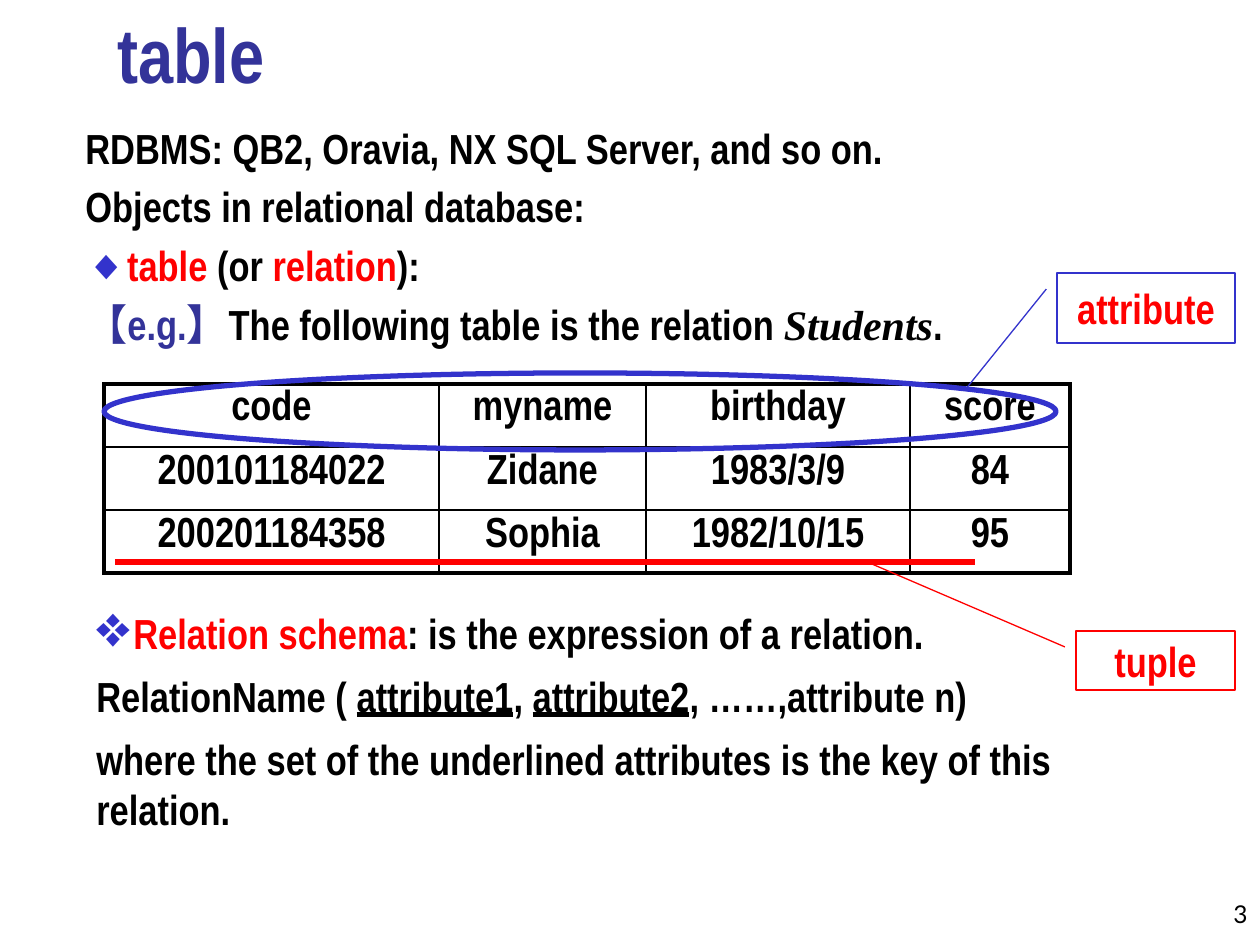
from lxml.etree import SubElement
from pptx import Presentation
from pptx.dml.color import RGBColor
from pptx.enum.shapes import MSO_CONNECTOR, MSO_SHAPE
from pptx.enum.text import MSO_ANCHOR, PP_ALIGN
from pptx.oxml.ns import qn
from pptx.util import Emu, Pt

THEME = {
    "black": "000000", "navy": "333399", "blue": "3333CC", "red": "FF0000",
    "font": "Arial Narrow", "serif": "Times New Roman", "number_font": "Lato",
    "title": 44, "body": 24, "number": 14, "thick": 3, "thin": 0.75,
    "outer_border": 2.25, "inner_border": 1,
}
SCALE = 914400 / 126


def px(*lengths):
    return [Emu(round(length * SCALE)) for length in lengths]


def write(frame, paragraphs, align=None, anchor=MSO_ANCHOR.TOP, size="body",
          font="font", bold=True, before=0):
    frame.word_wrap = True
    frame.vertical_anchor = anchor
    for index, runs in enumerate(paragraphs):
        para = frame.add_paragraph() if index else frame.paragraphs[0]
        para.alignment = align
        para.space_before = Pt(before)
        para.font.size = Pt(THEME[size])
        para.font.name = THEME[font]
        para.font.bold = bold
        for text, color, *style in runs:
            span = para.add_run()
            span.text = text
            span.font.color.rgb = RGBColor.from_string(THEME[color])
            if "underline" in style:
                span.font.underline = True
            if "italic" in style:
                span.font.italic = True
                span.font.name = THEME["serif"]


deck = Presentation()
deck.slide_width, deck.slide_height = px(1260, 945)
page = deck.slides.add_slide(deck.slide_layouts[6])

number_box = page.shapes.add_textbox(*px(1176, 872, 84, 63))
write(number_box.text_frame, [[("3", "black")]], PP_ALIGN.RIGHT,
      MSO_ANCHOR.BOTTOM, "number", "number_font", False)

title_box = page.shapes.add_textbox(*px(105, 10, 1074, 95))
write(title_box.text_frame, [[("table", "navy")]], anchor=MSO_ANCHOR.BOTTOM, size="title")

intro_box = page.shapes.add_textbox(*px(73, 116, 1162, 244))
write(intro_box.text_frame, [
    [("RDBMS: QB2, Oravia, NX SQL Server, and so on.", "black")],
    [("Objects in relational database:", "black")],
    [("◆", "blue"), ("table ", "red"), ("(or ", "black"), ("relation", "red"), ("):", "black")],
    [("【e.g.】", "navy"), ("The following table is the relation ", "black"),
     ("Students", "black", "italic"), (".", "black")],
], PP_ALIGN.JUSTIFY, before=4.8)

ROWS = [
    ("code", "myname", "birthday", "score"),
    ("200101184022", "Zidane", "1983/3/9", "84"),
    ("200201184358", "Sophia", "1982/10/15", "95"),
]
COLUMN_WIDTHS = [335, 207, 264, 160]
ROW_HEIGHT = 63
last_row, last_column = len(ROWS) - 1, len(COLUMN_WIDTHS) - 1
students = page.shapes.add_table(
    len(ROWS), len(COLUMN_WIDTHS),
    *px(104, 384, sum(COLUMN_WIDTHS), ROW_HEIGHT * len(ROWS))).table
students.first_row = students.horz_banding = False
for column, width in zip(students.columns, px(*COLUMN_WIDTHS)):
    column.width = width
for row_index, values in enumerate(ROWS):
    students.rows[row_index].height = px(ROW_HEIGHT)[0]
    for column_index, value in enumerate(values):
        cell = students.cell(row_index, column_index)
        write(cell.text_frame, [[(value, "black")]], PP_ALIGN.CENTER)
        cell.vertical_anchor = MSO_ANCHOR.TOP
        properties = cell._tc.get_or_add_tcPr()
        edges = {"a:lnL": column_index == 0, "a:lnR": column_index == last_column,
                 "a:lnT": row_index == 0, "a:lnB": row_index == last_row}
        for tag, is_outer in edges.items():
            weight = THEME["outer_border" if is_outer else "inner_border"]
            border = SubElement(properties, qn(tag), w=str(int(Pt(weight))))
            fill = SubElement(border, qn("a:solidFill"))
            SubElement(fill, qn("a:srgbClr"), val=THEME["black"])
        cell.fill.background()

header_ring = page.shapes.add_shape(MSO_SHAPE.OVAL, *px(104, 373, 952, 77))
header_ring.shadow.inherit = False
header_ring.fill.background()
header_ring.line.color.rgb = RGBColor.from_string(THEME["blue"])
header_ring.line.width = Pt(THEME["thick"])

tuple_line = page.shapes.add_connector(MSO_CONNECTOR.STRAIGHT, *px(115, 562, 975, 562))
tuple_line.line.color.rgb = RGBColor.from_string(THEME["red"])
tuple_line.line.width = Pt(THEME["thick"])
SubElement(tuple_line._element.spPr, qn("a:effectLst"))

CALLOUTS = [
    ("attribute", "blue", (1057, 273, 178, 70), (0.23, -0.06, 1.65, -0.51)),
    ("tuple", "red", (1076, 631, 159, 59), (0.27, -0.07, -1.19, -1.33)),
]
for label, color, place, pointer in CALLOUTS:
    callout = page.shapes.add_shape(MSO_SHAPE.LINE_CALLOUT_1, *px(*place))
    callout.shadow.inherit = False
    callout.fill.background()
    callout.line.color.rgb = RGBColor.from_string(THEME[color])
    callout.line.width = Pt(THEME["thin"])
    for index, value in enumerate(pointer):
        callout.adjustments[index] = value
    write(callout.text_frame, [[(label, "red")]], PP_ALIGN.CENTER, MSO_ANCHOR.MIDDLE)

schema_box = page.shapes.add_textbox(*px(84, 601, 1081, 244))
write(schema_box.text_frame, [
    [("Relation schema", "red"), (": is the expression of a relation.", "black")],
    [("RelationName ( ", "black"), ("attribute1", "black", "underline"), (", ", "black"),
     ("attribute2", "black", "underline"), (", ……,attribute n)", "black")],
    [("where the set of the underlined attributes is the key of this relation.", "black")],
], before=7.2)
bullet_format = schema_box.text_frame.paragraphs[0]._p.get_or_add_pPr()
bullet_indent = px(37)[0]
bullet_format.set("marL", str(bullet_indent))
bullet_format.set("indent", str(-bullet_indent))
bullet_color = SubElement(bullet_format, qn("a:buClr"))
SubElement(bullet_color, qn("a:srgbClr"), val=THEME["blue"])
bullet_size = SubElement(bullet_format, qn("a:buSzPct"), val="140000")
bullet = SubElement(bullet_format, qn("a:buChar"), char="❖")
run_defaults = bullet_format.find(qn("a:defRPr"))
for part in (bullet_color, bullet_size, bullet):
    run_defaults.addprevious(part)

deck.save("out.pptx")
